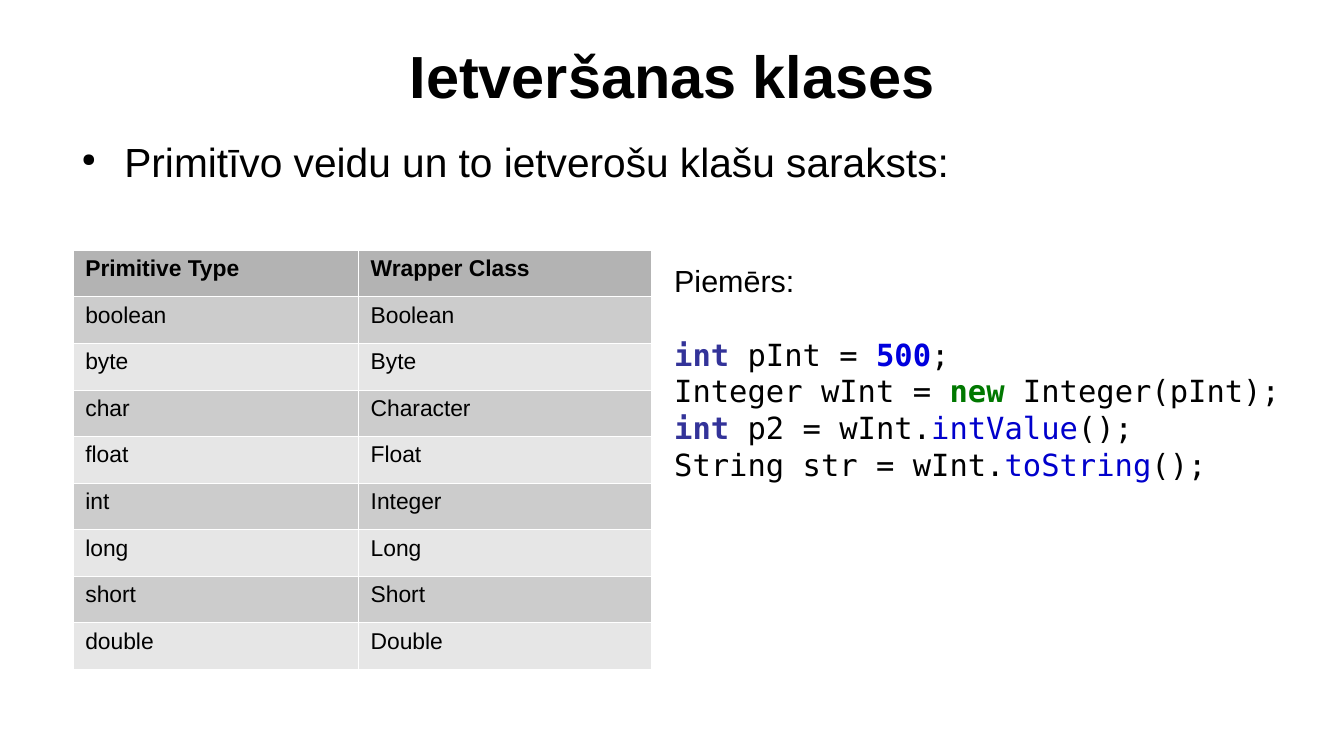
from dataclasses import dataclass, field
from typing import Any

from lxml import etree
from pptx import Presentation
from pptx import util as u
from pptx.dml import color
from pptx.enum import text
from pptx.oxml import ns

HEX = {"black": "000000", "white": "FFFFFF", "head": "B3B3B3",
       "dark": "CCCCCC", "light": "E6E6E6", "type": "333399",
       "num": "0000DD", "key": "007800", "call": "0000CC"}
SANS, MONO = "Arial", "DejaVu Sans Mono"
PAD = (0.1, 0.05, 0.1, 0.05)
SIDES = ("left", "top", "right", "bottom")


@dataclass
class Run:
    text: str
    hue: str = "black"
    bold: bool = False


@dataclass
class Para:
    runs: list[Run]
    size: float
    face: str = SANS
    form: dict[str, Any] = field(default_factory=dict)
    dot: bool = False


@dataclass
class Box:
    at: tuple[float, float, float, float]
    paras: list[Para]
    pad: tuple[float, float, float, float] = (0, 0, 0, 0)
    form: dict[str, Any] = field(default_factory=dict)


def apply(item: Any, form: dict[str, Any]) -> None:
    for name, value in form.items():
        setattr(item, name, value)


def inset(pad: tuple[float, float, float, float]) -> dict[str, Any]:
    return {f"margin_{side}": u.Inches(n) for side, n in zip(SIDES, pad)}


def add_xml(node: Any, tag: str, **attrs: str) -> Any:
    return etree.SubElement(node, ns.qn(tag), **attrs)


def add_dot(para: Any) -> None:
    props = para._p.get_or_add_pPr()
    apply_at = {"marL": u.Inches(0.47), "indent": u.Inches(-0.35)}
    for name, value in apply_at.items():
        props.set(name, str(int(value)))
    add_xml(add_xml(props, "a:buClr"), "a:srgbClr", val=HEX["black"])
    add_xml(props, "a:buSzPct", val="45000")
    add_xml(props, "a:buChar", char="●")


def write(para: Any, data: Para) -> None:
    if data.dot:
        add_dot(para)
    apply(para, data.form)
    for part in data.runs:
        for i, line in enumerate(part.text.split("\n")):
            if i:
                para.add_line_break()
            if not line:
                continue
            run = para.add_run()
            run.text = line
            apply(run.font, {"name": data.face, "size": u.Pt(data.size),
                             "bold": part.bold})
            run.font.color.rgb = color.RGBColor.from_string(HEX[part.hue])


def add_box(slide: Any, box: Box) -> None:
    frame = slide.shapes.add_textbox(*map(u.Inches, box.at)).text_frame
    apply(frame, {"word_wrap": True, **inset(box.pad), **box.form})
    for i, data in enumerate(box.paras):
        write(frame.add_paragraph() if i else frame.paragraphs[0], data)


def add_edges(cell: Any) -> None:
    props = cell._tc.get_or_add_tcPr()
    for side in "LRTB":
        line = add_xml(props, f"a:ln{side}", w=str(int(u.Pt(0.06))))
        add_xml(add_xml(line, "a:solidFill"), "a:srgbClr", val=HEX["white"])


def add_grid(slide: Any, rows: list[tuple[str, str]]) -> None:
    widths, high = (2.34, 2.4), 3.44
    area = map(u.Inches, (0.6, 2.05, sum(widths), high))
    grid = slide.shapes.add_table(len(rows), len(widths), *area).table
    apply(grid, {"first_row": False, "horz_banding": False})
    for col, width in zip(grid.columns, widths):
        col.width = u.Inches(width)
    for r, row in enumerate(rows):
        grid.rows[r].height = u.Inches(high / len(rows))
        hue = ("dark" if r % 2 else "light") if r else "head"
        for c, word in enumerate(row):
            cell = grid.cell(r, c)
            apply(cell, inset(PAD))
            add_edges(cell)
            cell.fill.solid()
            cell.fill.fore_color.rgb = color.RGBColor.from_string(HEX[hue])
            write(cell.text_frame.paragraphs[0],
                  Para([Run(word, bold=r == 0)], 13.5))


PAIRS = [("Primitive Type", "Wrapper Class"), ("boolean", "Boolean"),
         ("byte", "Byte"), ("char", "Character"), ("float", "Float"),
         ("int", "Integer"), ("long", "Long"), ("short", "Short"),
         ("double", "Double")]

CODE = [Run("int", "type", True), Run(" pInt = "), Run("500", "num", True),
        Run(";\nInteger wInt = "), Run("new", "key", True),
        Run(" Integer(pInt);\n"), Run("int", "type", True),
        Run(" p2 = wInt."), Run("intValue", "call"),
        Run("();\nString str = wInt."), Run("toString", "call"), Run("();")]

TITLE = Box((0.55, 0.25, 9.92, 0.73),
            [Para([Run("Ietveršanas klases", bold=True)], 35.1,
                  form={"alignment": text.PP_ALIGN.CENTER})],
            form={"vertical_anchor": text.MSO_ANCHOR.MIDDLE})
INTRO = Box((0.55, 1.12, 10, 1.18),
            [Para([Run("Primitīvo veidu un to ietverošu klašu saraksts:")], 24,
                  form={"space_after": u.Pt(10.6)}, dot=True)])
SAMPLE = Box((5.43, 2.1, 5.43, 2.83),
             [Para([Run("Piemērs:")], 18, form={"space_after": u.Pt(22)}),
              Para(CODE, 18, MONO, {"space_after": u.Pt(14.2)})], PAD)


def main() -> None:
    deck = Presentation()
    apply(deck, {"slide_width": u.Inches(11.02),
                 "slide_height": u.Inches(6.2)})
    slide = deck.slides.add_slide(deck.slide_layouts[6])
    for box in (TITLE, INTRO):
        add_box(slide, box)
    add_grid(slide, PAIRS)
    add_box(slide, SAMPLE)
    deck.save("out.pptx")


if __name__ == "__main__":
    main()
